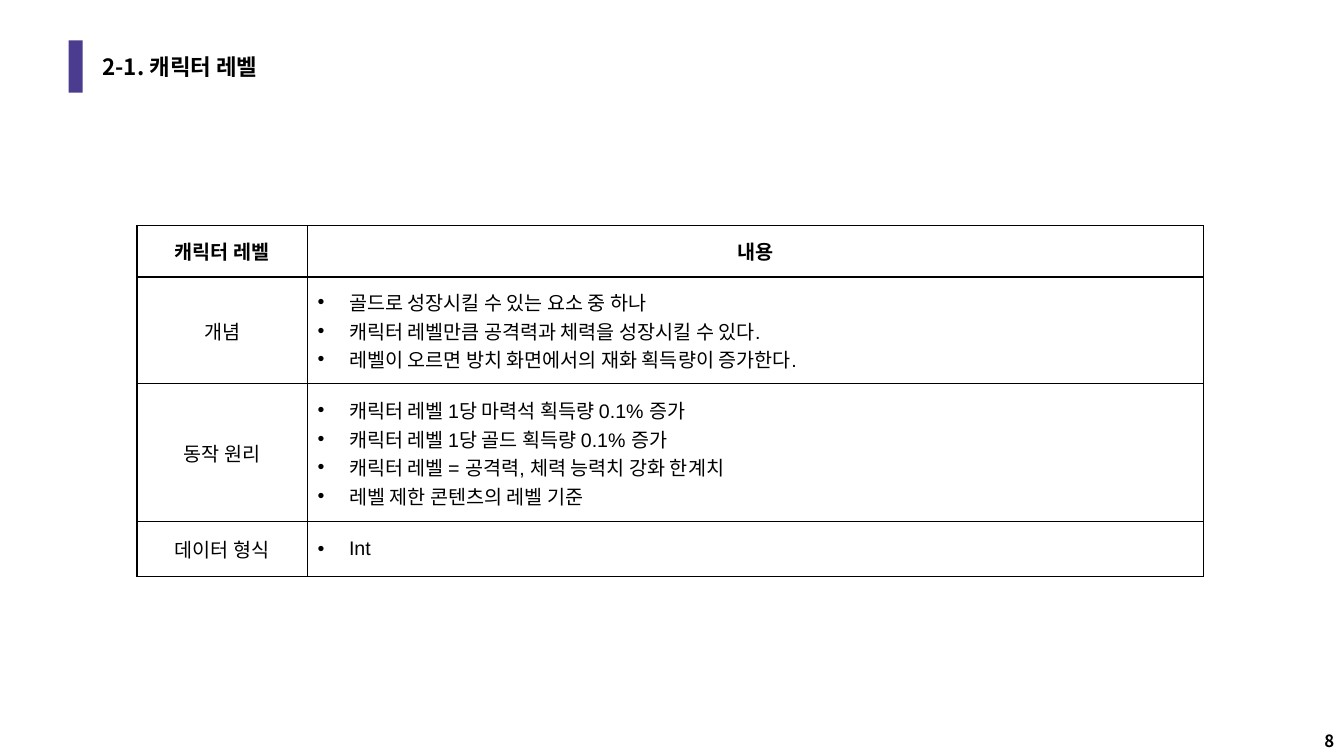
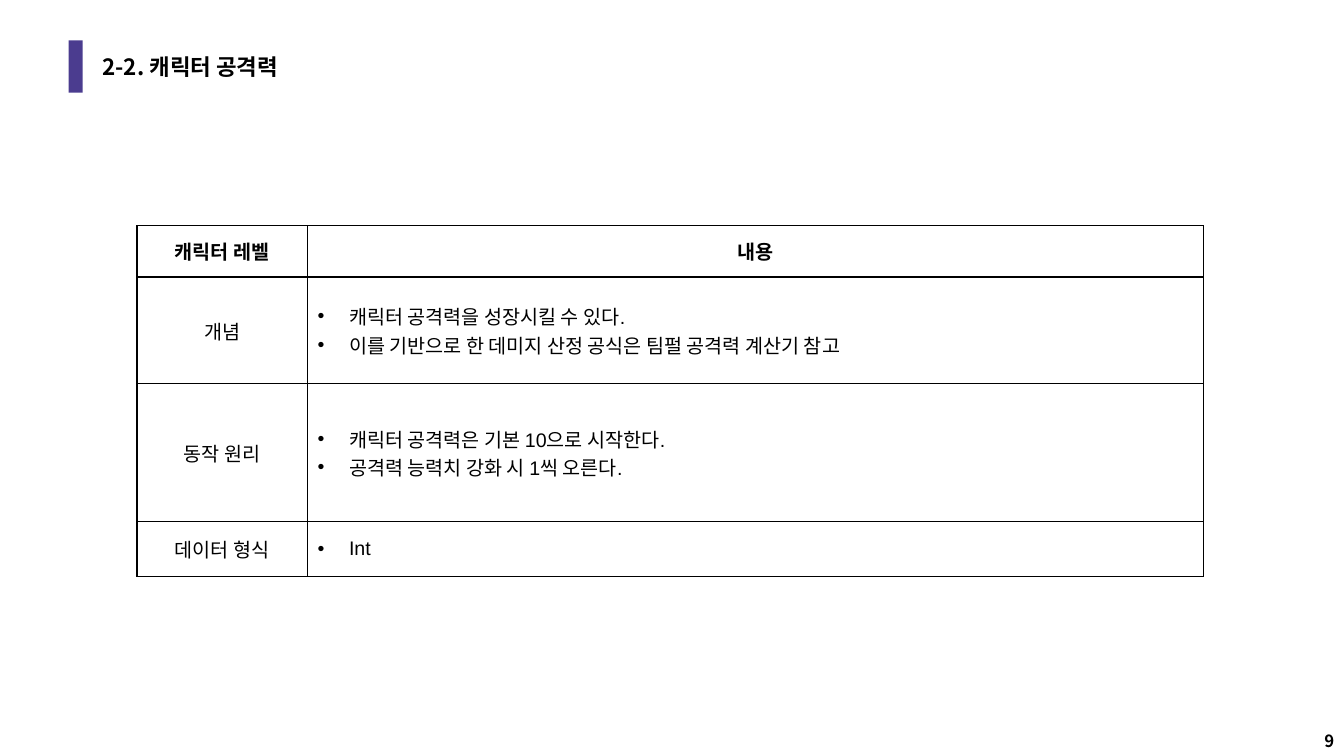
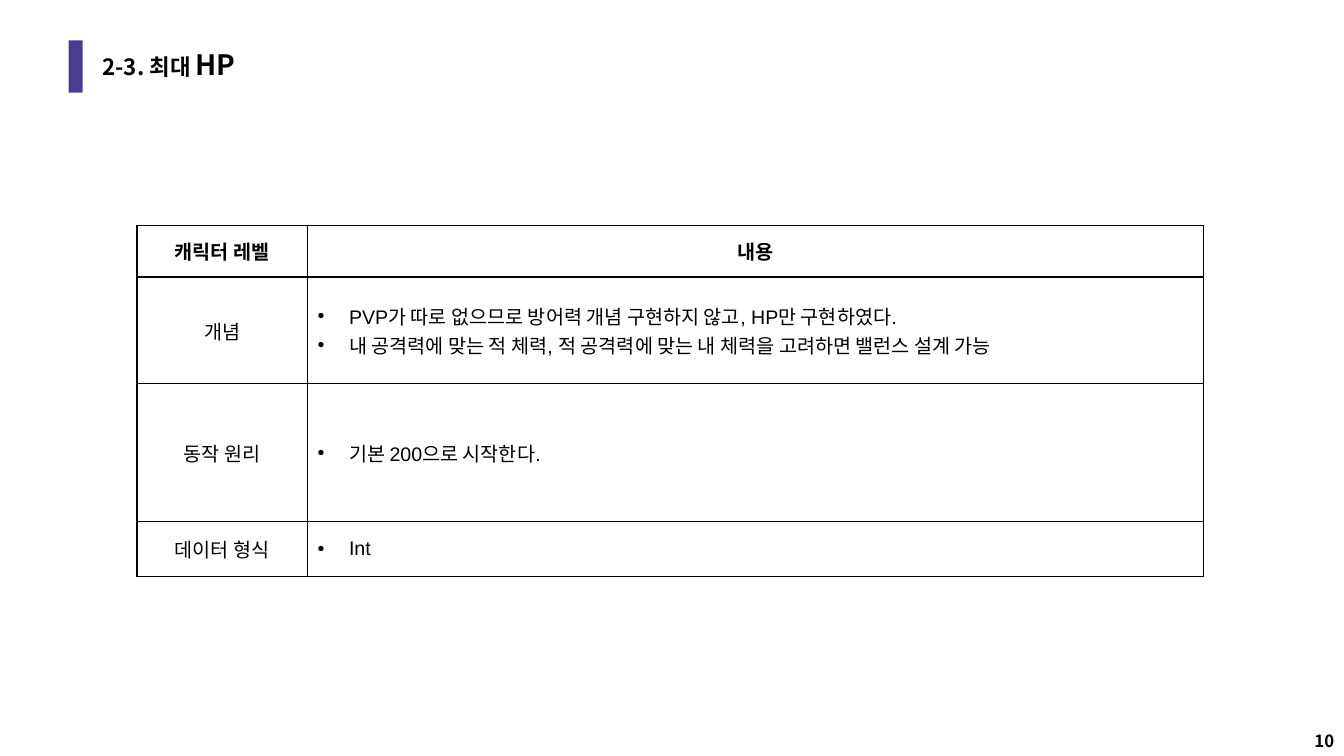
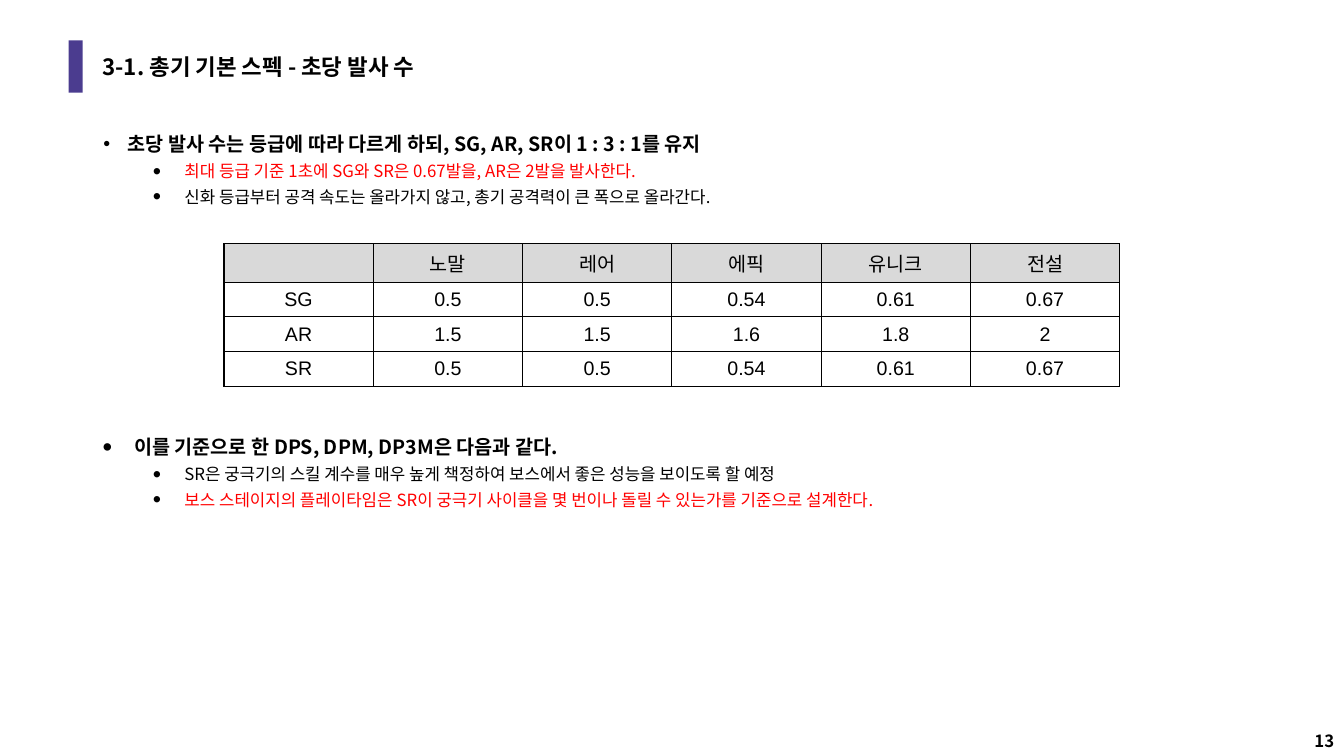
from dataclasses import dataclass

from lxml.etree import SubElement as Sub
from pptx import Presentation as Deck
from pptx.dml.color import RGBColor as Rgb
from pptx.enum.shapes import MSO_SHAPE as Shape
from pptx.enum.text import MSO_ANCHOR as Anchor, PP_ALIGN as Align
from pptx.oxml.ns import qn
from pptx.util import Pt

HUES = {"ink": "000000", "bar": "4B3C8F", "red": "FF0000", "head": "D9D9D9"}
SANS = "Noto Sans CJK KR"
ARIAL = "Arial"
FORMS = {
    "title": {"size": Pt(20), "bold": True, "name": SANS},
    "page": {"size": Pt(12), "bold": True, "name": SANS},
    "head": {"size": Pt(14), "bold": True, "name": ARIAL},
    "cell": {"size": Pt(14), "bold": False, "name": ARIAL},
    "lead": {"size": Pt(14), "bold": True, "name": SANS},
    "note": {"size": Pt(12), "bold": False, "name": SANS},
}


@dataclass
class Box:
    left: float
    top: float
    width: float
    height: float

    def points(self) -> tuple:
        return Pt(self.left), Pt(self.top), Pt(self.width), Pt(self.height)


@dataclass
class Dot:
    margin: float
    hang: float
    scale: int = 100


@dataclass
class Line:
    text: str
    form: str
    dot: Dot
    hue: str = "ink"
    gap: float = 0


@dataclass
class Trait:
    page: int
    title: str
    idea: list[str]
    logic: list[str]


BAR = Box(49, 28.8, 10.1, 37.4)
TITLE = Box(66.2, 28.8, 828, 37.4)
PAGE = Box(894.2, 511.2, 66, 28.8)
UPPER = Box(66.2, 90.5, 828, 76)
LOWER = Box(66.2, 307, 828, 76)

CELL_DOT = Dot(22.5, 22.5)
LEAD_DOT = Dot(18, 17.5)
BIG_DOT = Dot(22.5, 22.5, 140)
NOTE_DOT = Dot(58.5, 22.5, 140)

TRAITS = [
    Trait(8, "2-1. 캐릭터 레벨",
          ["골드로 성장시킬 수 있는 요소 중 하나",
           "캐릭터 레벨만큼 공격력과 체력을 성장시킬 수 있다.",
           "레벨이 오르면 방치 화면에서의 재화 획득량이 증가한다."],
          ["캐릭터 레벨 1당 마력석 획득량 0.1% 증가",
           "캐릭터 레벨 1당 골드 획득량 0.1% 증가",
           "캐릭터 레벨 = 공격력, 체력 능력치 강화 한계치",
           "레벨 제한 콘텐츠의 레벨 기준"]),
    Trait(9, "2-2. 캐릭터 공격력",
          ["캐릭터 공격력을 성장시킬 수 있다.",
           "이를 기반으로 한 데미지 산정 공식은 팀펄 공격력 계산기 참고"],
          ["캐릭터 공격력은 기본 10으로 시작한다.",
           "공격력 능력치 강화 시 1씩 오른다."]),
    Trait(10, "2-3. 최대 HP",
          ["PVP가 따로 없으므로 방어력 개념 구현하지 않고, HP만 구현하였다.",
           "내 공격력에 맞는 적 체력, 적 공격력에 맞는 내 체력을 고려하면 밸런스 설계 가능"],
          ["기본 200으로 시작한다."]),
]

RATES = [
    ["", "노말", "레어", "에픽", "유니크", "전설"],
    ["SG", "0.5", "0.5", "0.54", "0.61", "0.67"],
    ["AR", "1.5", "1.5", "1.6", "1.8", "2"],
    ["SR", "0.5", "0.5", "0.54", "0.61", "0.67"],
]

UPPER_LINES = [
    Line("초당 발사 수는 등급에 따라 다르게 하되, SG, AR, SR이 1 : 3 : 1를 유지",
         "lead", LEAD_DOT),
    Line("최대 등급 기준 1초에 SG와 SR은 0.67발을, AR은 2발을 발사한다.",
         "note", NOTE_DOT, "red", 4),
    Line("신화 등급부터 공격 속도는 올라가지 않고, 총기 공격력이 큰 폭으로 올라간다.",
         "note", NOTE_DOT, gap=4),
]
LOWER_LINES = [
    Line("이를 기준으로 한 DPS, DPM, DP3M은 다음과 같다.", "lead", BIG_DOT),
    Line("SR은 궁극기의 스킬 계수를 매우 높게 책정하여 보스에서 좋은 성능을 보이도록 할 예정",
         "note", NOTE_DOT, gap=4),
    Line("보스 스테이지의 플레이타임은 SR이 궁극기 사이클을 몇 번이나 돌릴 수 있는가를 기준으로 설계한다.",
         "note", NOTE_DOT, "red", 4),
]


def paint(fill, hue: str) -> None:
    fill.solid()
    fill.fore_color.rgb = Rgb.from_string(HUES[hue])


def style(font, form: str, hue: str = "ink") -> None:
    for key, value in FORMS[form].items():
        setattr(font, key, value)
    paint(font.fill, hue)


def write(para, text: str, form: str, hue: str = "ink"):
    run = para.add_run()
    run.text = text
    style(run.font, form, hue)
    props = run._r.get_or_add_rPr()
    Sub(props, qn("a:ea"), typeface=SANS)
    return props


def mark(para, dot: Dot) -> None:
    props = para._p.get_or_add_pPr()
    props.set("marL", str(Pt(dot.margin)))
    props.set("indent", str(-Pt(dot.hang)))
    tint = Sub(props, qn("a:buClr"))
    Sub(tint, qn("a:srgbClr"), val=HUES["ink"])
    Sub(props, qn("a:buSzPct"), val=str(dot.scale * 1000))
    Sub(props, qn("a:buFont"), typeface=ARIAL)
    Sub(props, qn("a:buChar"), char="•")


def fill_list(frame, lines: list[Line]) -> None:
    for spot, line in enumerate(lines):
        para = frame.add_paragraph() if spot else frame.paragraphs[0]
        para.space_before = Pt(line.gap)
        mark(para, line.dot)
        write(para, line.text, line.form, line.hue)


def add_text(slide, box: Box, anchor=Anchor.TOP):
    frame = slide.shapes.add_textbox(*box.points()).text_frame
    frame.word_wrap = True
    frame.vertical_anchor = anchor
    return frame


def start(deck, title: str, page: int):
    slide = deck.slides.add_slide(deck.slide_layouts[6])
    bar = slide.shapes.add_shape(Shape.RECTANGLE, *BAR.points())
    bar.shadow.inherit = False
    paint(bar.fill, "bar")
    bar.line.fill.background()
    para = add_text(slide, TITLE, Anchor.MIDDLE).paragraphs[0]
    para.line_spacing = 0.9
    write(para, title, "title").set("cap", "small")
    para = add_text(slide, PAGE, Anchor.BOTTOM).paragraphs[0]
    para.alignment = Align.RIGHT
    write(para, str(page), "page")
    return slide


def edge(cell) -> None:
    props = cell._tc.get_or_add_tcPr()
    for spot, side in enumerate(("lnL", "lnR", "lnT", "lnB")):
        line = props.makeelement(qn(f"a:{side}"), {"w": str(Pt(1))})
        tint = Sub(line, qn("a:solidFill"))
        Sub(tint, qn("a:srgbClr"), val=HUES["ink"])
        props.insert(spot, line)


def add_grid(slide, left: float, top: float, cols: list[float], rows: list[float]):
    box = Box(left, top, sum(cols), sum(rows))
    table = slide.shapes.add_table(len(rows), len(cols), *box.points()).table
    table.first_row = table.horz_banding = False
    for col, width in zip(table.columns, cols):
        col.width = Pt(width)
    for row, height in zip(table.rows, rows):
        row.height = Pt(height)
    for cell in table.iter_cells():
        cell.vertical_anchor = Anchor.MIDDLE
        cell.fill.background()
        edge(cell)
    return table


def label(cell, text: str, form: str) -> None:
    para = cell.text_frame.paragraphs[0]
    para.alignment = Align.CENTER
    if text:
        write(para, text, form)
    else:
        style(para.font, form)


def trait_slide(deck, trait: Trait) -> None:
    slide = start(deck, trait.title, trait.page)
    table = add_grid(slide, 97.9, 161.2, [121.7, 640.1], [36.7, 76.3, 98.6, 38.9])
    label(table.cell(0, 0), "캐릭터 레벨", "head")
    label(table.cell(0, 1), "내용", "head")
    parts = {"개념": trait.idea, "동작 원리": trait.logic, "데이터 형식": ["Int"]}
    for row, (name, texts) in enumerate(parts.items(), 1):
        label(table.cell(row, 0), name, "cell")
        lines = [Line(text, "cell", CELL_DOT) for text in texts]
        fill_list(table.cell(row, 1).text_frame, lines)


def rate_slide(deck) -> None:
    slide = start(deck, "3-1. 총기 기본 스펙 - 초당 발사 수", 13)
    for box, lines in ((UPPER, UPPER_LINES), (LOWER, LOWER_LINES)):
        fill_list(add_text(slide, box), lines)
    table = add_grid(slide, 160, 174.2, [106.65] * 6, [27.4] + [24.8] * 3)
    for row, texts in enumerate(RATES):
        for col, text in enumerate(texts):
            cell = table.cell(row, col)
            label(cell, text, "cell")
            if row == 0:
                paint(cell.fill, "head")


def main() -> None:
    deck = Deck()
    deck.slide_width, deck.slide_height = Pt(960), Pt(540)
    for trait in TRAITS:
        trait_slide(deck, trait)
    rate_slide(deck)
    deck.save("out.pptx")


if __name__ == "__main__":
    main()
